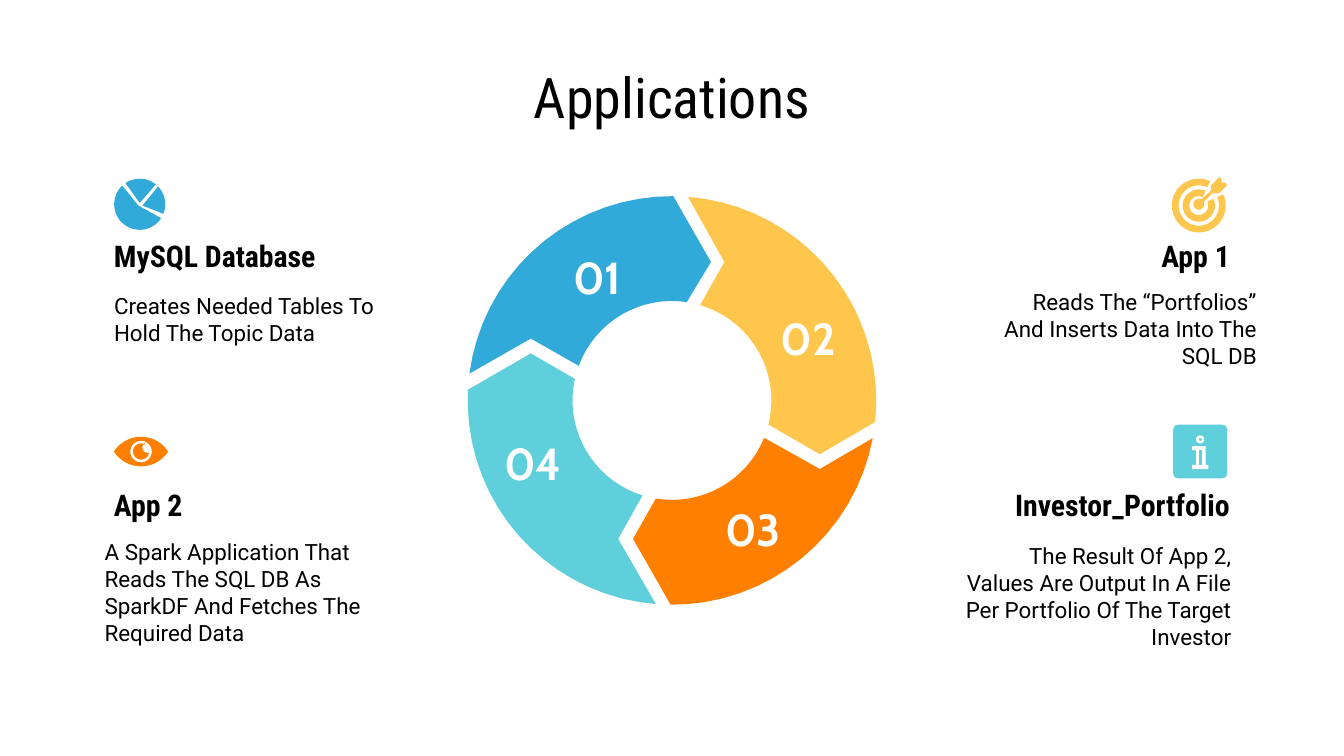
import math

import pptx
import pptx.dml.color
import pptx.enum.shapes
import pptx.enum.text
import pptx.util
from pptx.util import Inches

RGBColor = pptx.dml.color.RGBColor
BLACK = RGBColor(0x00, 0x00, 0x00)
WHITE = RGBColor(0xFF, 0xFF, 0xFF)
BLUE = RGBColor(0x32, 0xAA, 0xD9)
YELLOW = RGBColor(0xFF, 0xC6, 0x4E)
ORANGE = RGBColor(0xFF, 0x80, 0x01)
TEAL = RGBColor(0x5F, 0xD0, 0xDB)

LEFT = pptx.enum.text.PP_ALIGN.LEFT
CENTER = pptx.enum.text.PP_ALIGN.CENTER
RIGHT = pptx.enum.text.PP_ALIGN.RIGHT

TITLE = {"name": "Roboto Condensed", "size": pptx.util.Pt(30), "bold": False}
HEADING = {"name": "Roboto Condensed", "size": pptx.util.Pt(16), "bold": True}
BODY = {"name": "Roboto", "size": pptx.util.Pt(12), "bold": False}
NUMBER = {"name": "Cabin", "size": pptx.util.Pt(24), "bold": True}

RING_CENTER = (5, 2.98)
OUTER_RADIUS = 1.52
INNER_RADIUS = 0.74

# Colour, then the outer, middle and inner points of the tail and of the head
RING_SEGMENTS = [
    (YELLOW, [(5.12, 1.46), (5.39, 1.95), (5.21, 2.27)],
     [(6.51, 3.14), (6.1, 3.38), (5.72, 3.16)]),
    (ORANGE, [(6.49, 3.26), (6.1, 3.49), (5.69, 3.26)],
     [(4.99, 4.5), (4.71, 4.01), (4.88, 3.71)]),
    (TEAL, [(4.88, 4.49), (4.6, 4.01), (4.78, 3.69)],
     [(3.48, 2.9), (3.95, 2.63), (4.28, 2.82)]),
    (BLUE, [(3.49, 2.78), (3.95, 2.52), (4.3, 2.72)],
     [(5.01, 1.46), (5.29, 1.95), (5.11, 2.25)]),
]

NUMBERS = [("01", 4.11, 1.9), ("02", 5.68, 2.36), ("03", 5.27, 3.78), ("04", 3.63, 3.29)]

HEADINGS = [
    ("MySQL Database", 0.75, 1.75, LEFT),
    ("App 2", 0.75, 3.6, LEFT),
    ("App 1", 7.11, 1.75, RIGHT),
    ("Investor_Portfolio", 7.11, 3.6, RIGHT),
]

DESCRIPTIONS = [
    ("Creates Needed Tables To Hold The Topic Data", 0.75, 2.06, 2.29, LEFT),
    ("A Spark Application That Reads The SQL DB As SparkDF And Fetches The Required Data",
     0.68, 4.09, 2.29, LEFT),
    ("Reads The “Portfolios” And Inserts Data Into The SQL DB", 7.27, 2.13, 2.18, RIGHT),
    ("The Result Of App 2, Values Are Output In A File Per Portfolio Of The Target Investor",
     7.08, 4.12, 2.18, RIGHT),
]


def arc(center, radius, start, end):
    """Return points along an arc; degrees grow clockwise from the right."""
    steps = max(2, math.ceil(abs(end - start) / 5))
    angles = [math.radians(start + (end - start) * i / steps) for i in range(steps + 1)]
    return [(center[0] + radius * math.cos(a), center[1] + radius * math.sin(a))
            for a in angles]


def ring_angle(point):
    return math.degrees(math.atan2(point[1] - RING_CENTER[1], point[0] - RING_CENTER[0]))


def paint(shape, color):
    shape.shadow.inherit = False
    shape.fill.solid()
    shape.fill.fore_color.rgb = color
    shape.line.fill.background()


def add_outline(slide, color, *contours):
    """Add one filled freeform; a contour inside another becomes a hole."""
    builder = None
    for contour in contours:
        points = [(Inches(x), Inches(y)) for x, y in contour]
        if builder is None:
            builder = slide.shapes.build_freeform(*points[0], scale=1.0)
        else:
            builder.move_to(*points[0])
        builder.add_line_segments(points[1:], close=True)
    paint(builder.convert_to_shape(), color)


def format_text(shape, text, style, color, alignment):
    frame = shape.text_frame
    settings = {
        "word_wrap": True,
        "auto_size": pptx.enum.text.MSO_AUTO_SIZE.NONE,
        "vertical_anchor": pptx.enum.text.MSO_ANCHOR.MIDDLE,
    }
    for side in ("left", "top", "right", "bottom"):
        settings[f"margin_{side}"] = Inches(0.1)
    for name, value in settings.items():
        setattr(frame, name, value)
    frame.text = text
    paragraph = frame.paragraphs[0]
    paragraph.alignment = alignment
    for name, value in style.items():
        setattr(paragraph.font, name, value)
    paragraph.font.color.rgb = color


def add_text(slide, text, box, style, color, alignment):
    shape = slide.shapes.add_textbox(*map(Inches, box))
    format_text(shape, text, style, color, alignment)


def add_title(slide, text):
    title = slide.shapes.title
    title.left, title.top, title.width, title.height = map(Inches, (0.5, 0.45, 9, 0.53))
    format_text(title, text, TITLE, BLACK, CENTER)


def add_ring_segment(slide, color, tail, head):
    def sweep(start, end, radius):
        first = ring_angle(start)
        return arc(RING_CENTER, radius, first, first + (ring_angle(end) - first) % 360)

    outer = sweep(tail[0], head[0], OUTER_RADIUS)
    inner = sweep(tail[2], head[2], INNER_RADIUS)
    add_outline(slide, color, outer + [head[1]] + inner[::-1] + [tail[1]])


def add_target_icon(slide):
    center = (8.92, 1.53)
    for outer, inner in ((0.2, 0.15), (0.12, 0.07)):
        band = arc(center, outer, -25, 295) + arc(center, inner, 295, -25)
        add_outline(slide, YELLOW, band)
    dart = [(9.02, 1.44), (9.07, 1.44), (9.13, 1.38), (9.12, 1.36), (9.09, 1.36),
            (9.09, 1.33), (9.07, 1.32), (9.01, 1.38), (9.01, 1.42)]
    add_outline(slide, YELLOW, dart + arc((8.92, 1.52), 0.04, -65, -385))


def add_pie_icon(slide):
    for apex, start, end in (((1.03, 1.53), 33, 227), ((1.04, 1.51), 236, 309),
                             ((1.06, 1.53), 316, 382)):
        add_outline(slide, BLUE, [apex] + arc((1.04, 1.52), 0.19, start, end))


def add_eye_icon(slide):
    lids = arc((1.05, 3.49), 0.24, 212, 328) + arc((1.05, 3.23), 0.24, 32, 148)
    add_outline(slide, ORANGE, lids, arc((1.05, 3.36), 0.08, 360, 0))
    pupil = arc((1.05, 3.36), 0.06, 10, 300) + arc((1.1, 3.33), 0.04, 235, 90)
    add_outline(slide, ORANGE, pupil)


def add_info_icon(slide):
    tile = slide.shapes.add_shape(pptx.enum.shapes.MSO_SHAPE.ROUNDED_RECTANGLE,
                                  *map(Inches, (8.73, 3.16, 0.4, 0.4)))
    tile.adjustments[0] = 0.09
    paint(tile, TEAL)
    letter = [(8.87, 3.32), (8.97, 3.32), (8.97, 3.46), (8.99, 3.46), (8.99, 3.49),
              (8.87, 3.49), (8.87, 3.46), (8.9, 3.46), (8.9, 3.35), (8.87, 3.35)]
    stem = [(8.92, 3.35), (8.92, 3.46), (8.94, 3.46), (8.94, 3.35)]
    dot = (8.93, 3.27)
    add_outline(slide, WHITE, letter)
    add_outline(slide, WHITE, arc(dot, 0.03, 0, 360))
    add_outline(slide, TEAL, stem)
    add_outline(slide, TEAL, arc(dot, 0.01, 0, 360))


def main():
    presentation = pptx.Presentation()
    presentation.slide_width = Inches(10)
    presentation.slide_height = presentation.slide_width * 9 // 16
    slide = presentation.slides.add_slide(presentation.slide_layouts[5])

    add_title(slide, "Applications")
    for color, tail, head in RING_SEGMENTS:
        add_ring_segment(slide, color, tail, head)
    for text, left, top, alignment in HEADINGS:
        add_text(slide, text, (left, top, 2.14, 0.31), HEADING, BLACK, alignment)
    for text, left, top, width, alignment in DESCRIPTIONS:
        add_text(slide, text, (left, top, width, 0.63), BODY, BLACK, alignment)
    for text, left, top in NUMBERS:
        add_text(slide, text, (left, top, 0.67, 0.31), NUMBER, WHITE, CENTER)
    for add_icon in (add_target_icon, add_eye_icon, add_info_icon, add_pie_icon):
        add_icon(slide)

    presentation.save("out.pptx")


if __name__ == "__main__":
    main()
